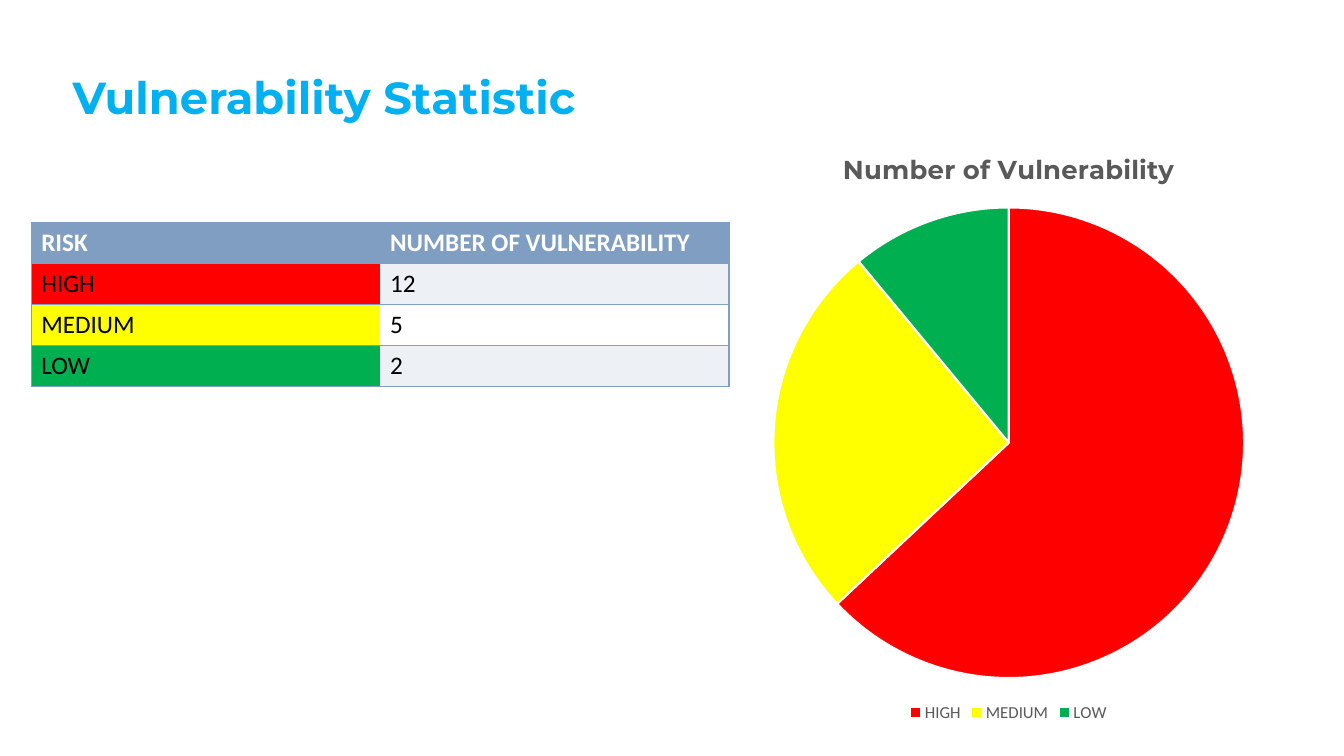
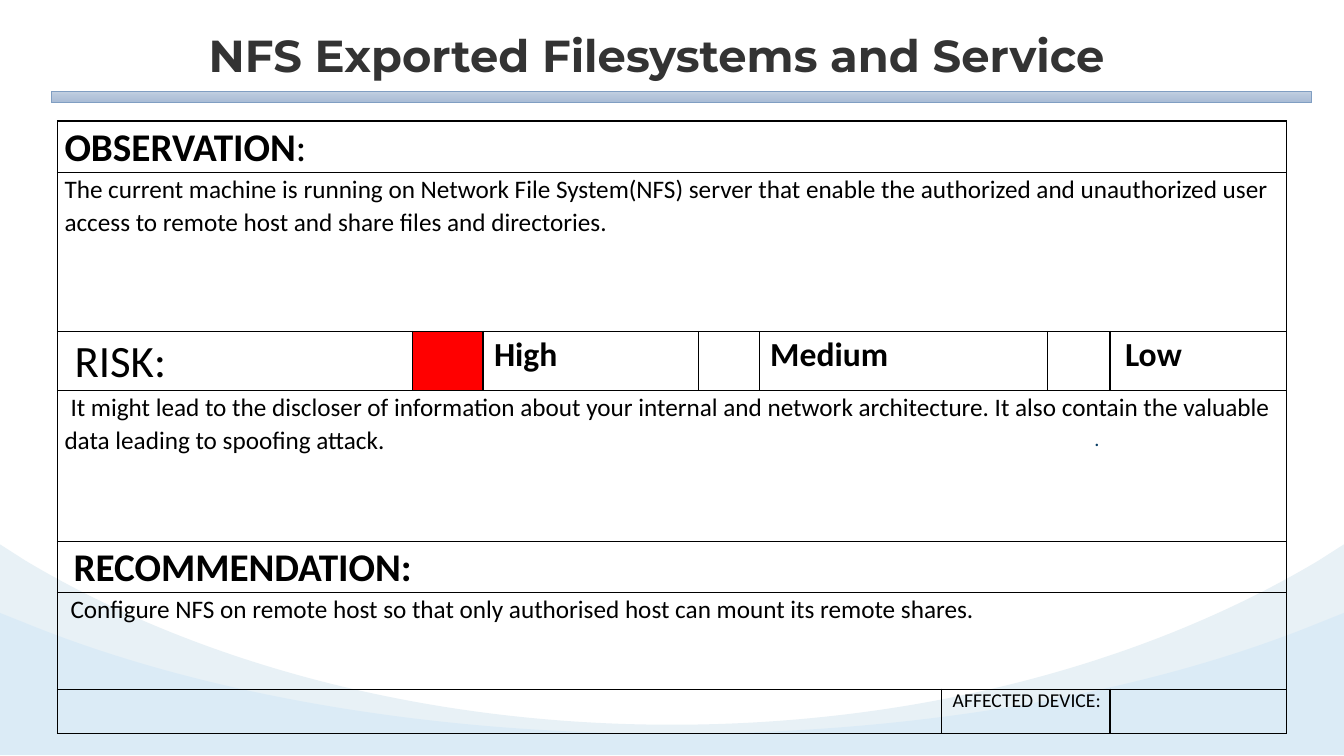
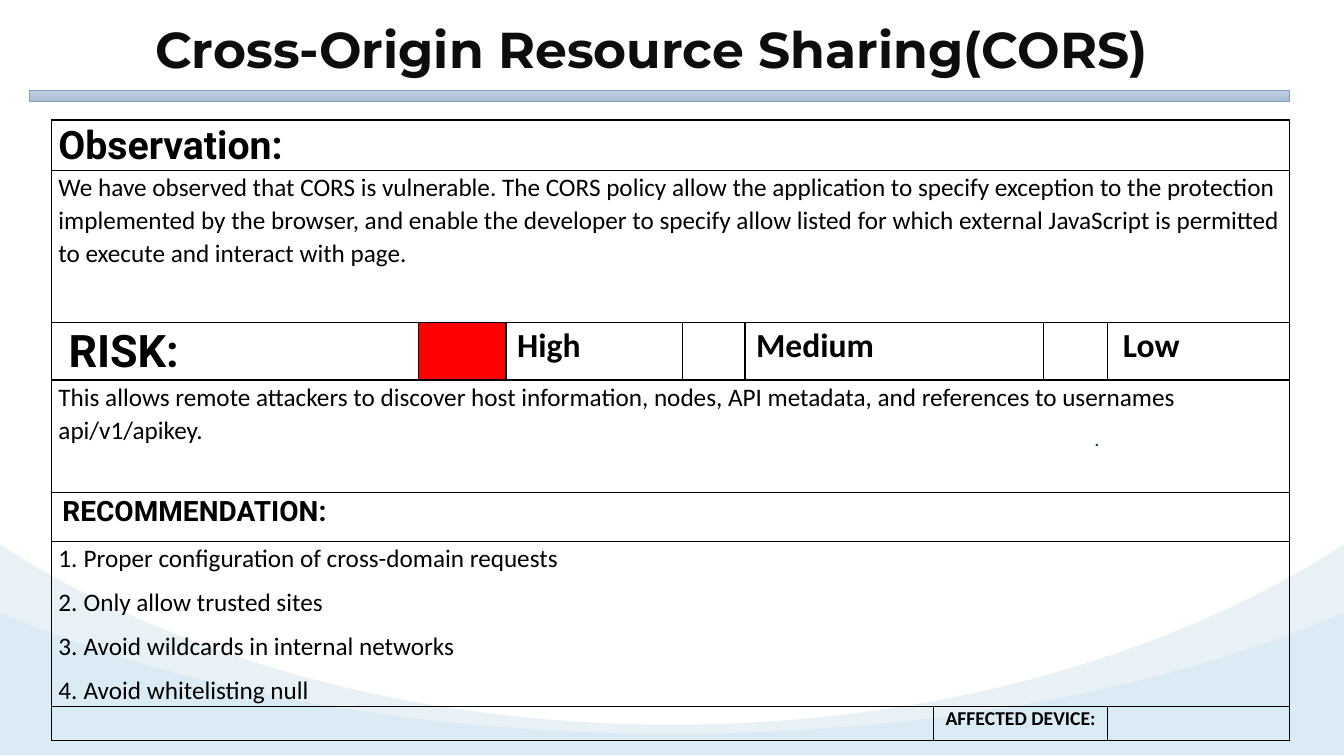
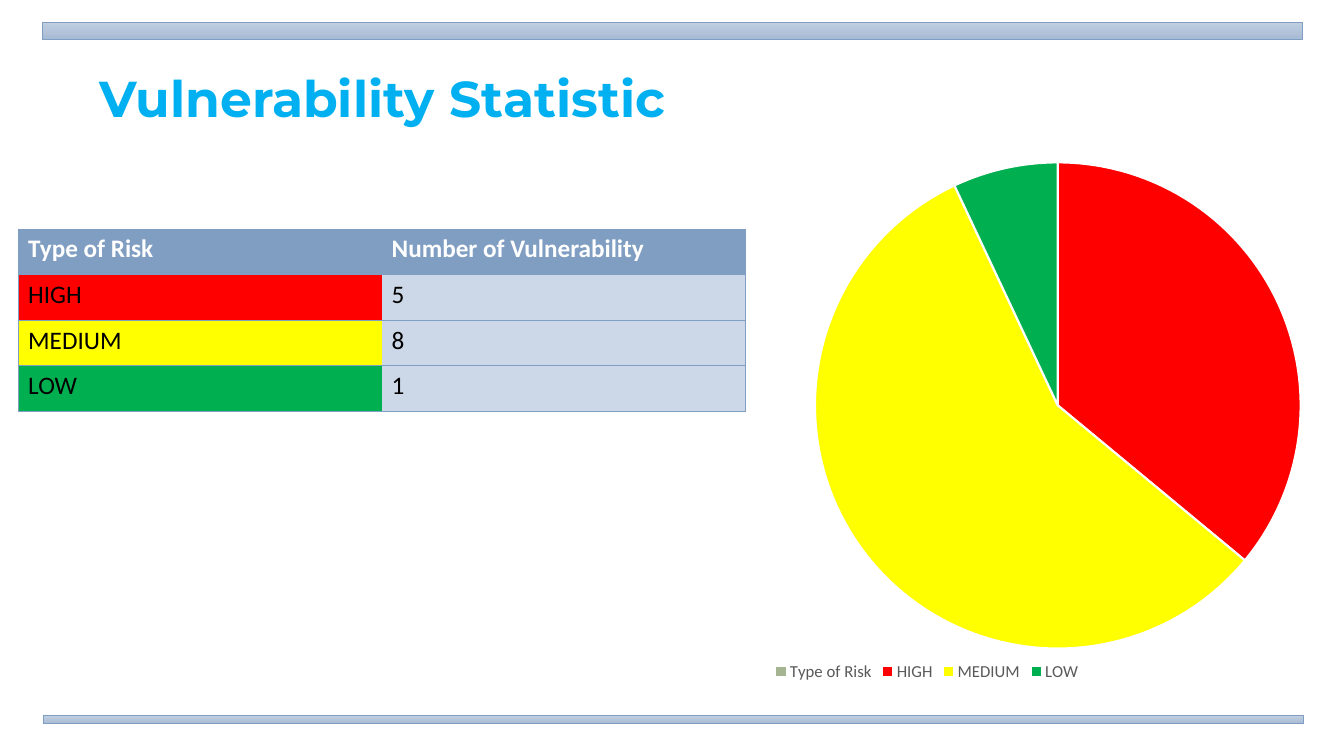
from dataclasses import dataclass

from lxml import etree
from pptx import Presentation
from pptx.chart.data import CategoryChartData
from pptx.dml.color import RGBColor
from pptx.enum.chart import XL_CHART_TYPE, XL_LEGEND_POSITION
from pptx.enum.shapes import MSO_SHAPE
from pptx.enum.text import MSO_ANCHOR, MSO_AUTO_SIZE, PP_ALIGN
from pptx.oxml.ns import qn
from pptx.util import Inches, Pt

PIE = XL_CHART_TYPE.PIE
LEGEND_BOTTOM = XL_LEGEND_POSITION.BOTTOM
RECTANGLE = MSO_SHAPE.RECTANGLE
MIDDLE = MSO_ANCHOR.MIDDLE
NO_AUTOFIT = MSO_AUTO_SIZE.NONE
LEFT, CENTER = PP_ALIGN.LEFT, PP_ALIGN.CENTER

WIDTH, HEIGHT = 13.33, 7.5
TITLE_FONT, BODY_FONT, HEAD_FONT = "Montserrat", "Calibri", "Roboto"
BLUE, SKY, BLACK, WHITE, GREY = "809EC2", "00B0F0", "000000", "FFFFFF", "595959"
RED, YELLOW, GREEN = "FF0000", "FFFF00", "00B050"
RISK_COLOURS = [RED, YELLOW, GREEN]
TITLE_ONLY = 5


@dataclass
class Finding:
    title: dict
    panel: tuple
    bar: tuple
    table_box: tuple
    columns: list
    rows: list
    observation_head: dict
    observation: dict
    risk_head: dict
    risk: dict
    recommendation_head: dict
    recommendation: dict
    device_head: dict


def rgb(colour):
    return RGBColor.from_string(colour)


def inches(box):
    return [Inches(length) for length in box]


def style(font, size, colour=BLACK, bold=False, name=BODY_FONT):
    font.size, font.bold, font.name = Pt(size), bold, name
    font.color.rgb = rgb(colour)


def paint(shape, fill=None, line=None, width=1):
    """Set fill and outline; a missing colour leaves none."""
    if fill:
        shape.fill.solid()
        shape.fill.fore_color.rgb = rgb(fill)
    else:
        shape.fill.background()
    if line:
        shape.line.color.rgb = rgb(line)
        shape.line.width = Pt(width)
    else:
        shape.line.fill.background()


def add_page(deck):
    return deck.slides.add_slide(deck.slide_layouts[TITLE_ONLY])


def set_title(page, text, box, size, colour, align=CENTER, fill=None, line=WHITE, width=0.75):
    """Fill the title placeholder and bring it in front of what is drawn so far."""
    shape = page.shapes.title
    page.shapes._spTree.append(shape._element)
    shape.left, shape.top, shape.width, shape.height = inches(box)
    paint(shape, fill, line, width)
    frame = shape.text_frame
    frame.text = text
    frame.auto_size, frame.vertical_anchor, frame.word_wrap = NO_AUTOFIT, MIDDLE, True
    frame.paragraphs[0].alignment = align
    style(frame.paragraphs[0].runs[0].font, size, colour, True, TITLE_FONT)


def add_panel(page, box):
    panel = page.shapes.add_shape(RECTANGLE, *inches(box))
    panel.shadow.inherit = False
    paint(panel, WHITE, WHITE)


def add_bar(page, left, top, height):
    bar = page.shapes.add_shape(RECTANGLE, *inches((left, top, 12.5, height)))
    bar.shadow.inherit = False
    bar.fill.gradient()
    bar.fill.gradient_angle = 270
    for stop, colour in zip(bar.fill.gradient_stops, ("C0CEE0", "A8BBD5")):
        stop.color.rgb = rgb(colour)
    bar.line.color.rgb = rgb(BLUE)
    bar.line.width = Pt(0.5)


def join_curve(first):
    """Turn a line and the two after it into one cubic curve."""
    segments = [first, first.getnext(), first.getnext().getnext()]
    curve = etree.Element(qn("a:cubicBezTo"))
    first.addprevious(curve)
    for segment in segments:
        curve.append(segment[0])
        segment.getparent().remove(segment)


def add_wave(page, edge, shoulder, control, trough, colour, alpha=None):
    """Fill the foot of the page below a symmetrical hollow curve."""
    foot = 7.49
    left = [(0, edge), (0.25, shoulder), (1.94, control), (4.2, trough)]
    right = [(WIDTH - x, y) for x, y in reversed(left)]
    outline = left + [(WIDTH / 2, trough)] + right + [(WIDTH, foot), (0, foot)]
    points = [(Inches(x), Inches(y)) for x, y in outline]
    builder = page.shapes.build_freeform(*points[0])
    builder.add_line_segments(points[1:], close=True)
    wave = builder.convert_to_shape()
    wave.shadow.inherit = False
    lines = list(wave._element.iter(qn("a:lnTo")))
    for start in (1, 4):
        join_curve(lines[start])
    paint(wave, colour)
    if alpha:
        tint = wave.fill._xPr.find(".//" + qn("a:srgbClr"))
        etree.SubElement(tint, qn("a:alpha"), val=str(alpha * 1000))


def add_dot(page):
    box = page.shapes.add_textbox(*inches((9.62, 4.24, 2.52, 0.24)))
    frame = box.text_frame
    frame.word_wrap = True
    frame.margin_left = frame.margin_right = frame.margin_top = frame.margin_bottom = 0
    frame.text = "."
    frame.paragraphs[0].alignment = CENTER
    style(frame.paragraphs[0].runs[0].font, 14, "083D65", name="Lato")


def set_borders(cell, colour, width, sides):
    """Draw the named sides (of L, R, T, B) and clear the others."""
    properties = cell._tc.get_or_add_tcPr()
    for side in "LRTB":
        line = etree.SubElement(properties, qn("a:ln" + side), w=str(Pt(width)))
        if side in sides:
            fill = etree.SubElement(line, qn("a:solidFill"))
            etree.SubElement(fill, qn("a:srgbClr"), val=colour)
        else:
            etree.SubElement(line, qn("a:noFill"))


def fill_cell(cell, colour):
    cell.fill.solid()
    cell.fill.fore_color.rgb = rgb(colour)


def add_table(page, left, top, columns, rows):
    frame = page.shapes.add_table(len(rows), len(columns),
                                  *inches((left, top, sum(columns), sum(rows))))
    table = frame.table
    table.first_row = table.horz_banding = False
    for column, width in zip(table.columns, columns):
        column.width = Inches(width)
    for row, height in zip(table.rows, rows):
        row.height = Inches(height)
    return table


def write_cell(cell, text, size, bold=False, name=BODY_FONT, indent=0, tail="",
               numbered=False, spacing=1.07):
    """Write one paragraph a line; the tail follows in regular weight."""
    frame = cell.text_frame
    frame.text = text
    for para in frame.paragraphs:
        properties = para._p.get_or_add_pPr()
        if numbered:
            properties.set("marL", str(Inches(0.25)))
            indent = -0.25
        properties.set("indent", str(Inches(indent)))
        para.line_spacing = spacing
        para.space_after = Pt(8)
        if numbered:
            etree.SubElement(properties, qn("a:buFont"), typeface="+mj-lt")
            etree.SubElement(properties, qn("a:buAutoNum"), type="arabicPeriod")
        style(para.runs[0].font, size, BLACK, bold, name)
    if tail:
        span = frame.paragraphs[0].add_run()
        span.text = tail
        style(span.font, size, name=name)


def add_finding_table(page, finding):
    table = add_table(page, *finding.table_box, finding.columns, finding.rows)
    for cell in table.iter_cells():
        set_borders(cell, BLACK, 1, "LRTB")
        cell.fill.background()
        cell.margin_left = cell.margin_right = Inches(0.07)
        cell.margin_top = cell.margin_bottom = 0
    last = len(finding.columns) - 1
    for row in (0, 1, 3, 4, 5):
        table.cell(row, 0).merge(table.cell(row, last))
    for row, first, end in ((2, 4, 5), (6, 0, 4), (6, 5, 6)):
        table.cell(row, first).merge(table.cell(row, end))

    sections = (finding.observation_head, finding.observation, finding.risk_head,
                finding.risk, finding.recommendation_head, finding.recommendation)
    for row, section in enumerate(sections):
        write_cell(table.cell(row, 0), **section)
    for column, level, indent in ((2, "High", 0.04), (4, "Medium", 0.04), (7, "Low", 0.08)):
        write_cell(table.cell(2, column), level, 24, True, indent=indent)
    for column, colour in ((1, RED), (3, WHITE), (6, WHITE)):
        fill_cell(table.cell(2, column), colour)
    write_cell(table.cell(6, 5), "AFFECTED DEVICE:", spacing=1, **finding.device_head)


def add_finding_page(deck, finding):
    page = add_page(deck)
    add_dot(page)
    add_wave(page, 5.4, 5.56, 6.57, 7.19, "E8F1F6")
    add_wave(page, 6.08, 6.18, 6.87, 7.28, "7AC2F9", alpha=11)
    if finding.panel:
        add_panel(page, finding.panel)
    set_title(page, **finding.title)
    add_bar(page, *finding.bar)
    add_finding_table(page, finding)


def add_statistic_table(page, box, heads, counts, bands, border):
    left, top, width, height = box
    rows = [heads, *zip(("HIGH", "MEDIUM", "LOW"), counts)]
    table = add_table(page, left, top, [width / 2] * 2, [height / len(rows)] * len(rows))
    for i, row in enumerate(rows):
        fills = (RISK_COLOURS[i - 1], bands[i - 1]) if i else (BLUE, BLUE)
        for j, value in enumerate(row):
            cell = table.cell(i, j)
            set_borders(cell, BLUE, border, "LTB" if j == 0 else "RTB")
            fill_cell(cell, fills[j])
            cell.text_frame.text = str(value)
            style(cell.text_frame.paragraphs[0].runs[0].font, 18,
                  BLACK if i else WHITE, bold=i == 0)


def set_plot_layout(chart, box):
    area = chart._chartSpace.find(".//" + qn("c:plotArea"))
    layout = area.find(qn("c:layout"))
    if layout is None:
        layout = etree.Element(qn("c:layout"))
        area.insert(0, layout)
    manual = etree.SubElement(layout, qn("c:manualLayout"))
    settings = [("layoutTarget", "inner"), ("xMode", "edge"), ("yMode", "edge")]
    settings += zip("xywh", box)
    for tag, value in settings:
        etree.SubElement(manual, qn("c:" + tag), val=str(value))


def add_pie(page, box, categories, values, colours, plot_box, title=None):
    data = CategoryChartData()
    data.categories = categories
    data.add_series("Series 1", values)
    chart = page.shapes.add_chart(PIE, *inches(box), data).chart
    style(chart.font, 10)
    chart.has_title = title is not None
    if title:
        frame = chart.chart_title.text_frame
        frame.text = title
        style(frame.paragraphs[0].runs[0].font, 18.5, GREY, True, TITLE_FONT)
    chart.has_legend = True
    chart.legend.position = LEGEND_BOTTOM
    chart.legend.include_in_layout = False
    style(chart.legend.font, 12, GREY)
    plot = chart.plots[0]
    plot.vary_by_categories = True
    for index, colour in enumerate(colours):
        paint(plot.series[0].points[index].format, colour, WHITE, 1.5)
    set_plot_layout(chart, plot_box)


def add_first_statistic(deck):
    page = add_page(deck)
    set_title(page, "Vulnerability Statistic", (0.62, 0.64, 6.27, 0.64), 32, SKY, LEFT,
              line=None)
    add_statistic_table(page, (0.31, 2.21, 6.92, 1.62), ("RISK", "NUMBER OF VULNERABILITY"),
                        (12, 5, 2), ("EDF0F4", WHITE, "EDF0F4"), 1)
    add_pie(page, (6.67, 1.28, 6.67, 5.93), ["HIGH", "MEDIUM", "LOW"], (63, 26, 11),
            RISK_COLOURS, (0.15, 0.13, 0.7, 0.79), "Number of Vulnerability")


def add_second_statistic(deck):
    page = add_page(deck)
    set_title(page, "Vulnerability Statistic", (0.43, 0.57, 6.73, 0.79), 36, SKY)
    add_statistic_table(page, (0.18, 2.27, 7.21, 1.81),
                        ("Type of Risk", "Number of Vulnerability"),
                        (5, 8, 1), ["CCD8E7"] * 3, 0.5)
    add_bar(page, 0.43, 7.1, 0.08)
    add_bar(page, 0.42, 0.22, 0.17)
    add_pie(page, (5.49, 0.56, 7.42, 6.24), ["Type of Risk", "HIGH", "MEDIUM", "LOW"],
            (0, 36, 57, 7), ["A5B592", *RISK_COLOURS], (0.35, 0.15, 0.65, 0.81))


NFS = Finding(
    title=dict(text="NFS Exported Filesystems and Service", box=(1.28, 0, 10.47, 1.09),
               size=32, colour="333333", fill=WHITE, width=1),
    panel=(), bar=(0.51, 0.91, 0.11), table_box=(0.57, 1.2),
    columns=[3.52, 0.7, 2.14, 0.6, 1.81, 1.05, 0.62, 1.75],
    rows=[0.5, 1.58, 0.57, 1.5, 0.5, 0.96, 0.44],
    observation_head=dict(text="OBSERVATION", size=28, bold=True, tail=":"),
    observation=dict(
        text="The current machine is running on Network File System(NFS) server that enable "
             "the authorized and unauthorized user access to remote host and share files and "
             "directories.", size=18),
    risk_head=dict(text="RISK:", size=32, indent=0.1),
    risk=dict(
        text="It might lead to the discloser of information about your internal and network "
             "architecture. It also contain the valuable data leading to spoofing attack.",
        size=18, indent=0.06),
    recommendation_head=dict(text="RECOMMENDATION:", size=28, bold=True, indent=0.09),
    recommendation=dict(
        text="Configure NFS on remote host so that only authorised host can mount its remote "
             "shares.", size=18, indent=0.06),
    device_head=dict(size=14, indent=0.04),
)

CORS = Finding(
    title=dict(text="Cross-Origin Resource Sharing(CORS)", box=(0.51, 0.14, 11.9, 0.68),
               size=36, colour="0D0D0D"),
    panel=(1.43, 0.03, 10.47, 1.09), bar=(0.29, 0.9, 0.11), table_box=(0.51, 1.19),
    columns=[3.64, 0.87, 1.75, 0.62, 1.87, 1.09, 0.64, 1.8],
    rows=[0.5, 1.51, 0.57, 1.12, 0.48, 1.62, 0.34],
    observation_head=dict(text="Observation:", size=28, bold=True, name=HEAD_FONT),
    observation=dict(
        text="We have observed that CORS is vulnerable. The CORS policy allow the application "
             "to specify exception to the protection implemented by the browser, and enable "
             "the developer to specify allow listed for which external JavaScript is permitted "
             "to execute and interact with page.", size=18),
    risk_head=dict(text="RISK:", size=32, bold=True, name=HEAD_FONT, indent=0.1),
    risk=dict(
        text="This allows remote attackers to discover host information, nodes, API metadata, "
             "and references to usernames api/v1/apikey.", size=18),
    recommendation_head=dict(text="RECOMMENDATION:", size=20, bold=True, name=HEAD_FONT,
                             indent=0.04),
    recommendation=dict(
        text="Proper configuration of cross-domain requests\nOnly allow trusted sites\n"
             "Avoid wildcards in internal networks\nAvoid whitelisting null",
        size=18, numbered=True),
    device_head=dict(size=14, bold=True, indent=0.05),
)


def main():
    deck = Presentation()
    deck.slide_width, deck.slide_height = Inches(WIDTH), Inches(HEIGHT)
    add_first_statistic(deck)
    add_finding_page(deck, NFS)
    add_finding_page(deck, CORS)
    add_second_statistic(deck)
    deck.save("out.pptx")


if __name__ == "__main__":
    main()
